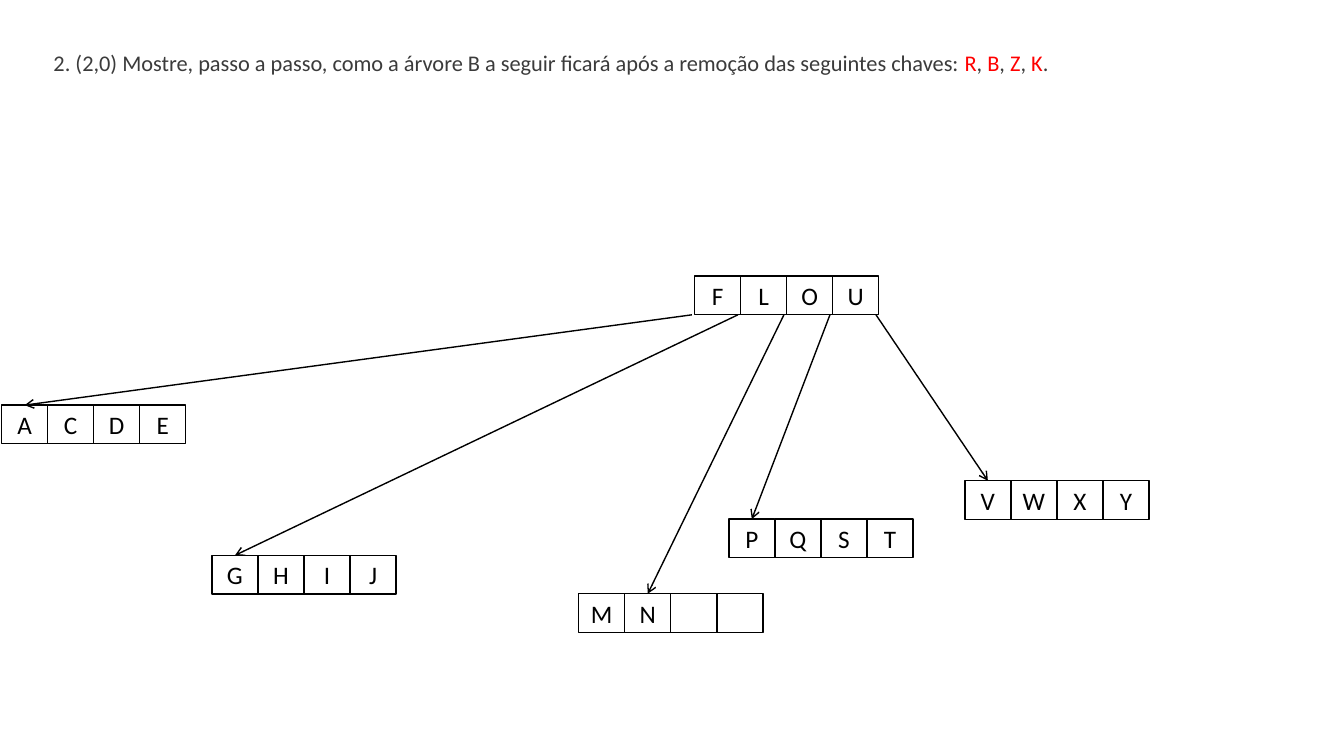
from lxml.etree import SubElement
from pptx import Presentation
from pptx.dml.color import RGBColor
from pptx.enum.shapes import MSO_CONNECTOR, MSO_SHAPE
from pptx.enum.text import MSO_ANCHOR, MSO_AUTO_SIZE, PP_ALIGN
from pptx.oxml.ns import qn
from pptx.util import Pt

QUESTION = "2. (2,0) Mostre, passo a passo, como a árvore B a seguir ficará após a remoção das seguintes chaves: "
REMOVED = ["R", "B", "Z", "K"]
ROOT = {"keys": "FLOU", "left": 496.2, "top": 197.3}
CHILDREN = [
    {"keys": "ACDE", "left": 1.2, "top": 289.4, "target": 0},
    {"keys": "GHIJ", "left": 151.4, "top": 396.7, "target": 0},
    {"keys": "MN", "left": 413.4, "top": 424.1, "target": 1},
    {"keys": "PQST", "left": 520.6, "top": 370.8, "target": 0},
    {"keys": "VWXY", "left": 689.2, "top": 343.4, "target": 0},
]
THEME = {
    "font": "Calibri",
    "text": RGBColor(0x3B, 0x3B, 0x3B),
    "removed": RGBColor(0xFF, 0, 0),
    "ink": RGBColor(0, 0, 0),
    "question_size": Pt(16),
    "key_size": Pt(18),
    "line": Pt(1),
}
ORDER = 4
CELL_W, CELL_H = 32.88, 27.6
POINTER_SHIFT = -2


def apply(obj, values):
    for name, value in values.items():
        setattr(obj, name, value)


def add_run(p, text, size, color):
    r = p.add_run()
    r.text = text
    apply(r.font, {"name": THEME["font"], "size": size})
    r.font.color.rgb = color


def add_question(s):
    sp = s.shapes.title
    apply(sp, {"left": Pt(31), "top": Pt(31.7), "width": Pt(897), "height": Pt(26.6)})
    tf = sp.text_frame
    apply(tf, {"word_wrap": True, "auto_size": MSO_AUTO_SIZE.SHAPE_TO_FIT_TEXT,
               "vertical_anchor": MSO_ANCHOR.TOP})
    p = tf.paragraphs[0]
    p.alignment = PP_ALIGN.LEFT
    add_run(p, QUESTION, THEME["question_size"], THEME["text"])
    for i, key in enumerate(REMOVED, 1):
        add_run(p, key, THEME["question_size"], THEME["removed"])
        add_run(p, ", " if i < len(REMOVED) else ".", THEME["question_size"], THEME["text"])


def add_node(s, node):
    for i, key in enumerate(node["keys"].ljust(ORDER)):
        sp = s.shapes.add_shape(MSO_SHAPE.RECTANGLE, Pt(node["left"] + i * CELL_W),
                                Pt(node["top"]), Pt(CELL_W), Pt(CELL_H))
        sp.shadow.inherit = False
        sp.fill.background()
        sp.line.color.rgb = THEME["ink"]
        sp.line.width = THEME["line"]
        if key.strip():
            tf = sp.text_frame
            apply(tf, {"vertical_anchor": MSO_ANCHOR.MIDDLE, "margin_left": 0, "margin_right": 0})
            p = tf.paragraphs[0]
            p.alignment = PP_ALIGN.CENTER
            add_run(p, key, THEME["key_size"], THEME["ink"])


def add_pointer(s, i, child):
    start_x = ROOT["left"] + i * CELL_W + POINTER_SHIFT
    end_x = child["left"] + (child["target"] + 0.5) * CELL_W
    c = s.shapes.add_connector(MSO_CONNECTOR.STRAIGHT, Pt(start_x), Pt(ROOT["top"] + CELL_H),
                               Pt(end_x), Pt(child["top"]))
    c.line.color.rgb = THEME["ink"]
    c.line.width = THEME["line"]
    SubElement(c.line._get_or_add_ln(), qn("a:tailEnd"), type="arrow")
    SubElement(c._element.spPr, qn("a:effectLst"))


def main():
    """Build the B-tree key removal exercise slide."""
    prs = Presentation()
    apply(prs, {"slide_width": Pt(960), "slide_height": Pt(540)})
    s = prs.slides.add_slide(prs.slide_layouts[5])
    add_question(s)
    for node in [ROOT, *CHILDREN]:
        add_node(s, node)
    for i, child in enumerate(CHILDREN):
        add_pointer(s, i, child)
    prs.save("out.pptx")


if __name__ == "__main__":
    main()
